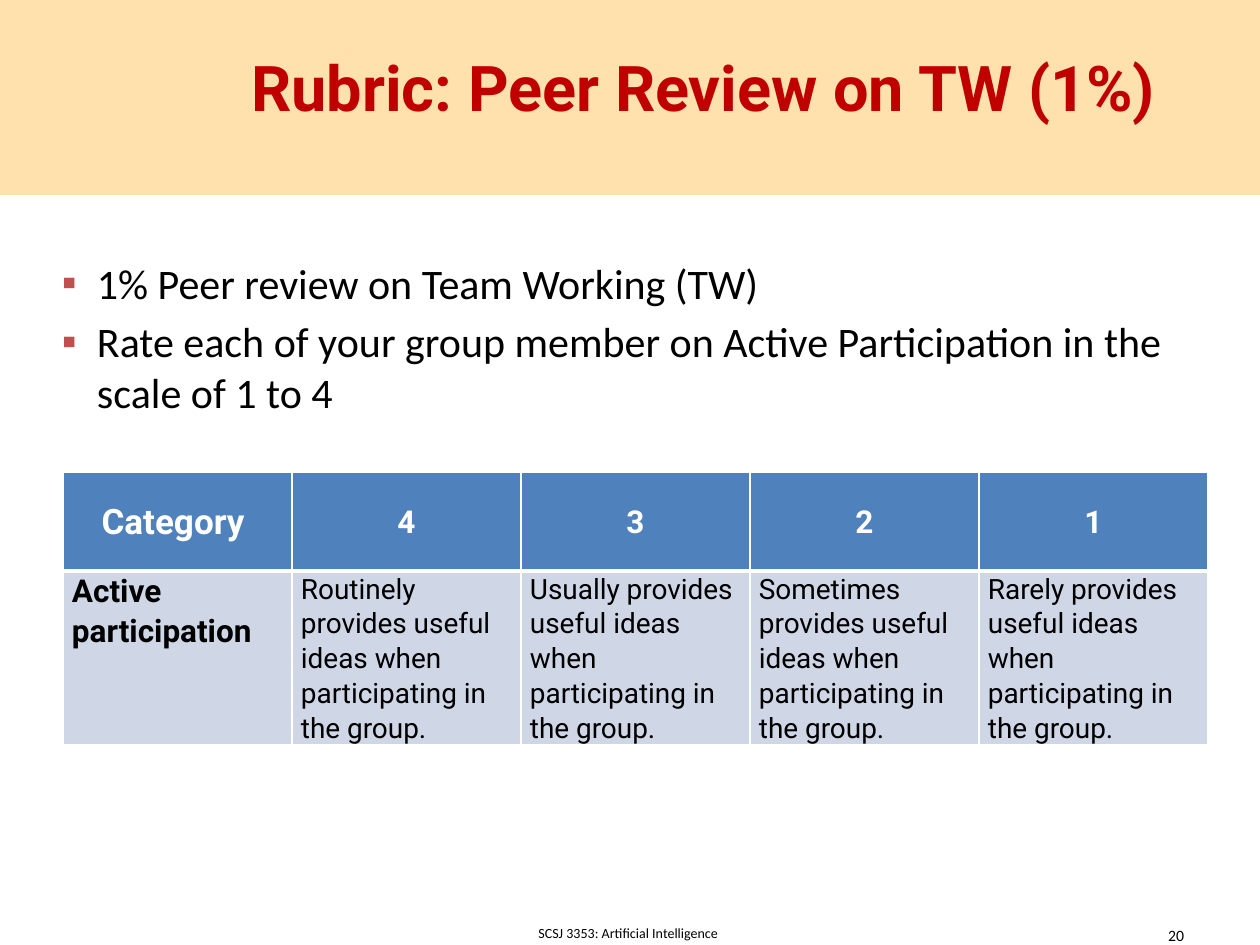
import pptx
import pptx.dml.color
import pptx.enum.shapes
import pptx.enum.text
import pptx.oxml
import pptx.oxml.ns
import pptx.util

RGBColor = pptx.dml.color.RGBColor
Align = pptx.enum.text.PP_ALIGN
Anchor = pptx.enum.text.MSO_ANCHOR

CREAM = RGBColor(0xFF, 0xE1, 0xAD)
RED = RGBColor(0xC0, 0x00, 0x00)
BULLET_RED = RGBColor(0xC0, 0x50, 0x4D)
BLUE = RGBColor(0x4F, 0x81, 0xBD)
PALE_BLUE = RGBColor(0xCF, 0xD7, 0xE7)
WHITE = RGBColor(0xFF, 0xFF, 0xFF)
BLACK = RGBColor(0x00, 0x00, 0x00)

PX = 914400 / 126


def px(*lengths):
    return [round(length * PX) for length in lengths]


def write(frame, *texts, size, font="Calibri", color=BLACK, bold=False,
          align=Align.LEFT, anchor=Anchor.TOP, margins=(13, 6),
          line_spacing=None, space_before=0, bullet=None):
    frame.word_wrap = True
    frame.vertical_anchor = anchor
    frame.margin_left = frame.margin_right = px(margins[0])[0]
    frame.margin_top = frame.margin_bottom = px(margins[1])[0]
    for index, text in enumerate(texts):
        paragraph = frame.add_paragraph() if index else frame.paragraphs[0]
        paragraph.text = text
        paragraph.alignment = align
        paragraph.line_spacing = line_spacing
        paragraph.space_before = pptx.util.Pt(space_before if index else 0)
        if bullet:
            properties = paragraph._p.get_or_add_pPr()
            indent = px(35)[0]
            properties.set("marL", str(indent))
            properties.set("indent", str(-indent))
            namespace = pptx.oxml.ns.nsdecls("a")
            for xml in (
                f'<a:buClr {namespace}><a:srgbClr val="{BULLET_RED}"/></a:buClr>',
                f'<a:buChar {namespace} char="{bullet}"/>',
            ):
                properties.append(pptx.oxml.parse_xml(xml))
        run_font = paragraph.runs[0].font
        run_font.name = font
        run_font.size = pptx.util.Pt(size)
        run_font.bold = bold
        run_font.color.rgb = color


presentation = pptx.Presentation()
presentation.slide_width, presentation.slide_height = px(1260, 945)
slide = presentation.slides.add_slide(presentation.slide_layouts[1])

# Header band, behind the placeholders
band = slide.shapes.add_shape(
    pptx.enum.shapes.MSO_SHAPE.RECTANGLE, *px(0, 0, 1260, 195))
band.shadow.inherit = False
band.fill.solid()
band.fill.fore_color.rgb = CREAM
band.line.fill.background()
slide.shapes._spTree.insert(2, band._element)

# Title and list
title = slide.shapes.title
title.left, title.top, title.width, title.height = px(147, 42, 1113, 89)
title.text_frame.auto_size = pptx.enum.text.MSO_AUTO_SIZE.NONE
write(title.text_frame, "Rubric: Peer Review on TW (1%)", size=36,
      font="Roboto", color=RED, bold=True, align=Align.CENTER)

body = slide.placeholders[1]
body.left, body.top, body.width, body.height = px(53, 252, 1207, 105)
body.text_frame.auto_size = pptx.enum.text.MSO_AUTO_SIZE.NONE
write(body.text_frame,
      "1% Peer review on Team Working (TW)",
      "Rate each of your group member on Active Participation in the scale of 1 to 4",
      size=24, margins=(9, 5), space_before=4.8, bullet="▪")

# Rubric table
ratings = {"4": "Routinely", "3": "Usually", "2": "Sometimes", "1": "Rarely"}
provides = "{} provides useful ideas when participating in the group."
rows = [
    ["Category ", *ratings],
    ["Active participation", *(provides.format(word) for word in ratings.values())],
]
table = slide.shapes.add_table(2, 5, *px(63, 472, 1145, 251)).table
for column in table.columns:
    column.width = px(229)[0]
for row, height in zip(table.rows, (99, 152)):
    row.height = px(height)[0]

for row_index, texts in enumerate(rows):
    header = row_index == 0
    for column_index, text in enumerate(texts):
        label = column_index == 0
        cell = table.cell(row_index, column_index)
        write(cell.text_frame, text, font="Roboto", line_spacing=1.07,
              size=20 if header and label else 18 if header or label else 16,
              color=WHITE if header else BLACK, bold=header or label,
              align=Align.CENTER if header else Align.LEFT)
        cell.vertical_anchor = Anchor.MIDDLE if header else Anchor.TOP
        cell.margin_left = cell.margin_right = px(9)[0]
        cell.margin_top = cell.margin_bottom = 0
        for side in "LRTB":
            thick = (header and side == "B") or (not header and side == "T")
            width = pptx.util.Pt(3 if thick else 1)
            cell._tc.get_or_add_tcPr().append(pptx.oxml.parse_xml(
                f'<a:ln{side} {pptx.oxml.ns.nsdecls("a")} w="{width}">'
                f'<a:solidFill><a:srgbClr val="{WHITE}"/></a:solidFill></a:ln{side}>'))
        cell.fill.solid()
        cell.fill.fore_color.rgb = BLUE if header else PALE_BLUE

# Footer and slide number
footer = slide.shapes.add_textbox(*px(340, 912, 577, 42))
write(footer.text_frame, "SCSJ 3353: Artificial Intelligence", size=8,
      align=Align.CENTER, anchor=Anchor.MIDDLE)
number = slide.shapes.add_textbox(*px(903, 910, 294, 50))
write(number.text_frame, "20", size=9, align=Align.RIGHT, anchor=Anchor.MIDDLE)

presentation.save("out.pptx")
